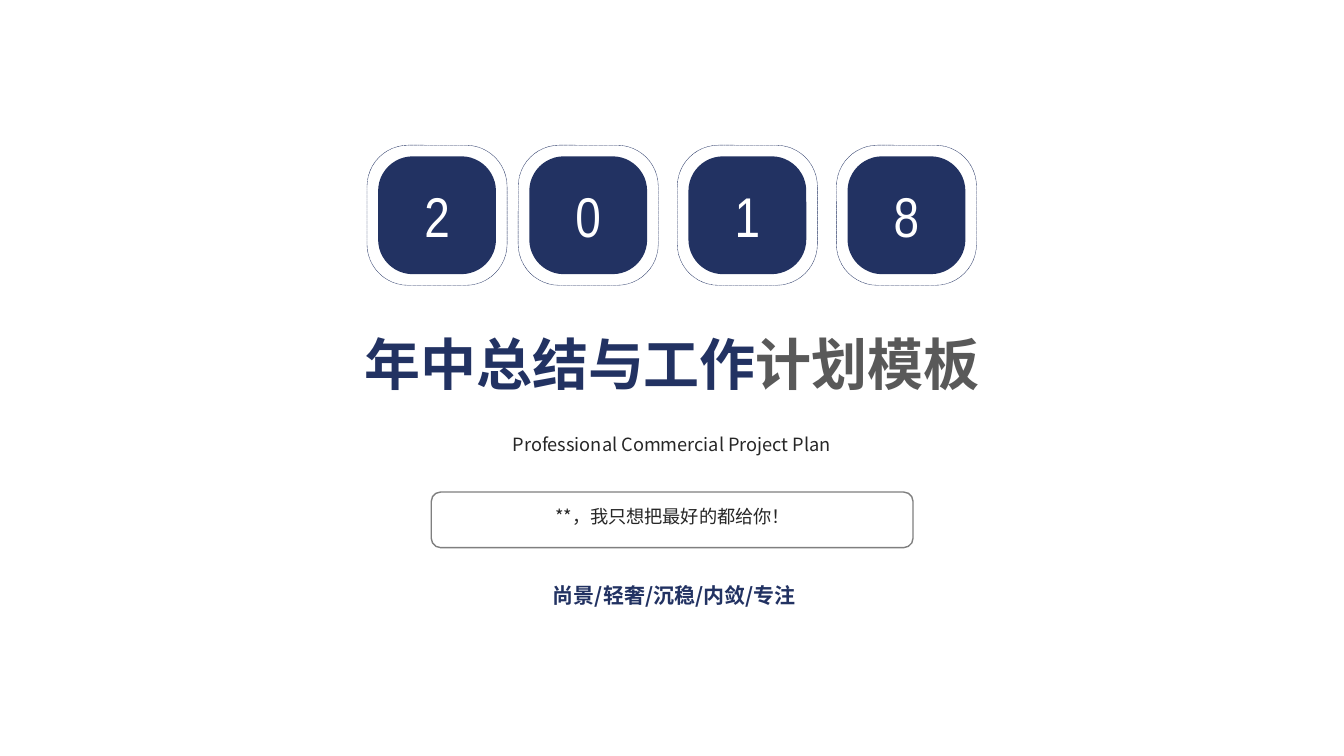
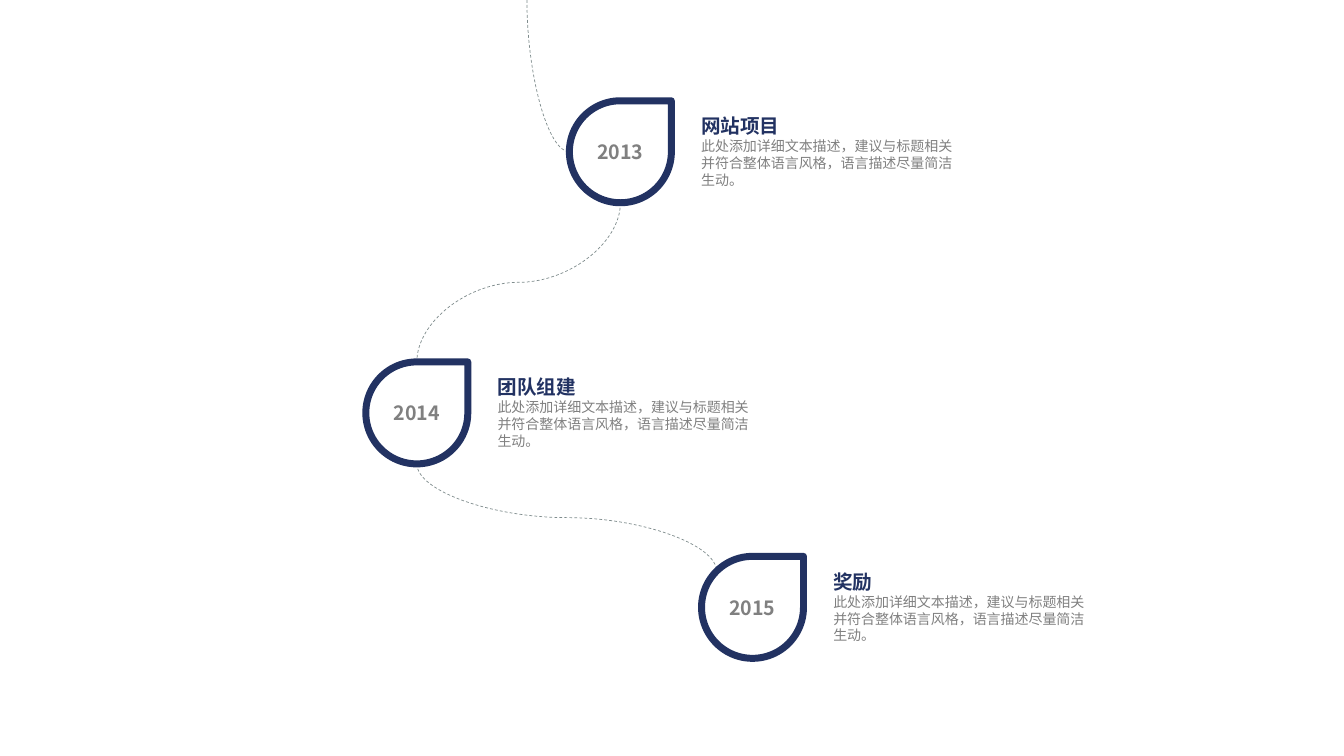
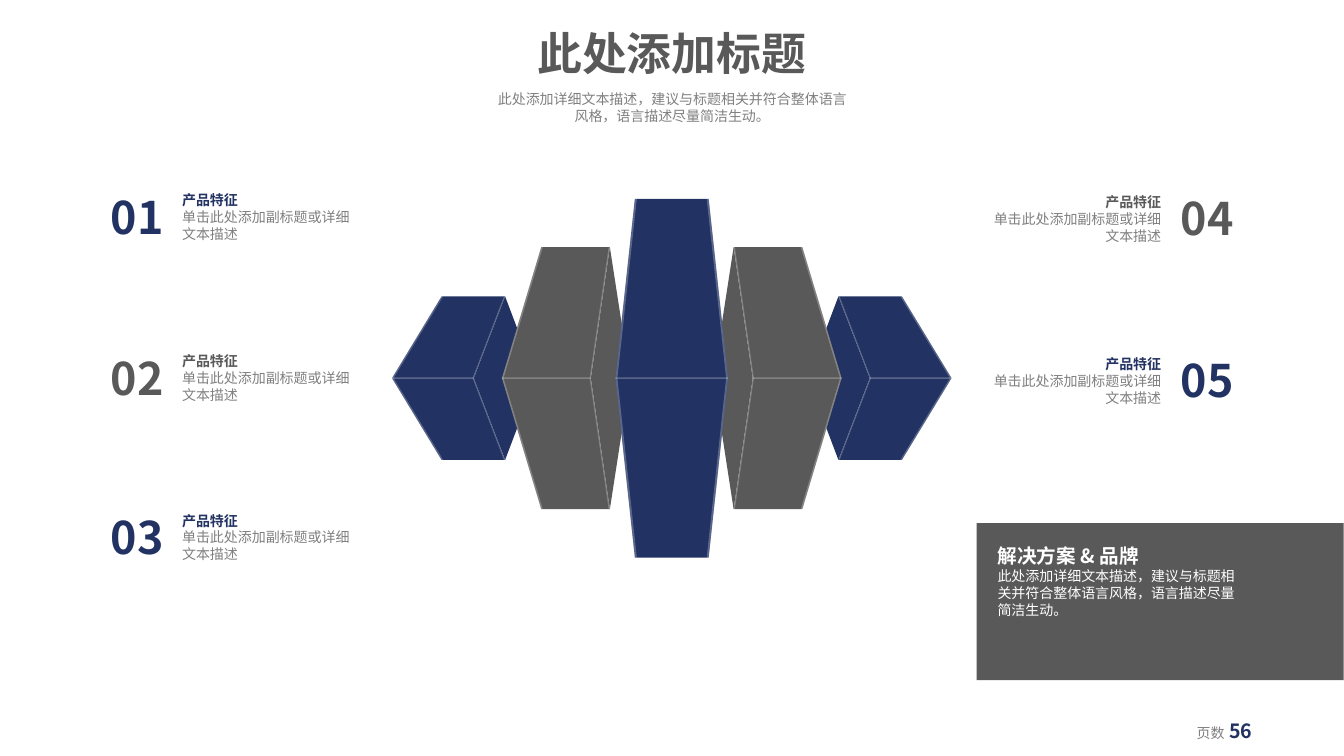
from dataclasses import dataclass

import pptx
import pptx.util
import pptx.dml.color
import pptx.enum.dml
import pptx.enum.shapes
import pptx.enum.text
import pptx.oxml.ns
import lxml.etree

Cm = pptx.util.Cm
Pt = pptx.util.Pt
RGB = pptx.dml.color.RGBColor.from_string
DASH = pptx.enum.dml.MSO_LINE
KIND = pptx.enum.shapes.MSO_SHAPE
ALIGN = pptx.enum.text.PP_ALIGN
qn = pptx.oxml.ns.qn


@dataclass(frozen=True)
class Theme:
    font: str = "Noto Sans CJK SC"
    narrow: str = "Arial Narrow"
    navy: str = "223262"
    slate: str = "595959"
    gray: str = "808080"
    rim: str = "7F7F7F"
    thread: str = "7F8C8D"
    ink: str = "262626"
    white: str = "FFFFFF"
    huge: int = 40
    title: int = 32
    tag: int = 15
    head: int = 14
    lead: int = 13
    body: int = 10


T = Theme()
DETAIL = "此处添加详细文本描述，建议与标题相关并符合整体语言风格，语言描述尽量简洁生动。"


def run(text, size, color, bold=False, font=T.font):
    return text, size, color, bold, font


def write(frame, paras, align=ALIGN.LEFT):
    """Fill a text frame; each paragraph is a list of run() tuples."""
    frame.word_wrap = True
    for i, runs in enumerate(paras):
        para = frame.paragraphs[0] if i == 0 else frame.add_paragraph()
        para.alignment = align
        for text, size, color, bold, face in runs:
            part = para.add_run()
            part.text = text
            font = part.font
            font.size, font.bold, font.name = Pt(size), bold, face
            font.color.rgb = RGB(color)
            east = lxml.etree.SubElement(part._r.get_or_add_rPr(), qn("a:ea"))
            east.set("typeface", face)


def label(slide, box, paras, align=ALIGN.LEFT):
    frame = slide.shapes.add_textbox(*map(Cm, box)).text_frame
    write(frame, paras, align)


def paint(shape, fill=None, line=None, width=1, dash=None):
    shape.shadow.inherit = False
    if fill:
        shape.fill.solid()
        shape.fill.fore_color.rgb = RGB(fill)
    else:
        shape.fill.background()
    if line:
        shape.line.color.rgb = RGB(line)
        shape.line.width = Pt(width)
        if dash:
            shape.line.dash_style = dash
    else:
        shape.line.fill.background()


def block(slide, kind, box, adjust=None, **look):
    shape = slide.shapes.add_shape(kind, *map(Cm, box))
    if adjust is not None:
        shape.adjustments[0] = adjust
    paint(shape, **look)
    return shape


def tile(slide, left, digit):
    """A digit on a rounded square with a dashed ring around it."""
    top, side, gap, bend = 3.94, 2.97, 0.28, 0.294
    face = block(slide, KIND.ROUNDED_RECTANGLE, (left, top, side, side), bend, fill=T.navy)
    face.text_frame.vertical_anchor = pptx.enum.text.MSO_ANCHOR.MIDDLE
    write(face.text_frame, [[run(digit, T.huge, T.white, font=T.narrow)]], ALIGN.CENTER)
    ring = (left - gap, top - gap, side + 2 * gap, side + 2 * gap)
    block(slide, KIND.ROUNDED_RECTANGLE, ring, bend,
          line=T.navy, width=0.25, dash=DASH.SQUARE_DOT)


def entry(slide, left, top, width, head, color, tint):
    label(slide, (left, top, width, 2.13),
          [[run(head, T.head, color, True)], [run(DETAIL, T.body, tint)]])


DROP = 2.57


def event(slide, left, top, year, head):
    drop = block(slide, KIND.TEAR, (left, top, DROP, DROP), fill=T.white, line=T.navy, width=5)
    drop.text_frame.vertical_anchor = pptx.enum.text.MSO_ANCHOR.MIDDLE
    write(drop.text_frame, [[run(year, T.head, T.gray, True)]], ALIGN.CENTER)
    entry(slide, left + 3.07, top + 0.21, 6.99, head, T.navy, T.gray)
    return drop


def curve(slide, start, end, preset, first=None, last=None):
    """A curve that leaves start downwards; first and last are (shape, site) joints."""
    (x1, y1), (x2, y2) = start, end
    long, wide = abs(y2 - y1), abs(x2 - x1)
    left, top = (x1 + x2 - long) / 2, (y1 + y2 - wide) / 2
    link = slide.shapes.add_connector(
        pptx.enum.shapes.MSO_CONNECTOR.CURVE,
        Cm(left), Cm(top), Cm(left + long), Cm(top + wide))
    link.line.color.rgb = RGB(T.thread)
    link.line.width = Pt(0.5)
    link.line.dash_style = DASH.DASH
    node = link._element
    lxml.etree.SubElement(node.spPr, qn("a:effectLst"))
    node.spPr.find(qn("a:prstGeom")).set("prst", preset)
    frame = node.spPr.find(qn("a:xfrm"))
    frame.set("rot", str((270 if x2 > x1 else 90) * 60000))
    if x2 > x1:
        frame.set("flipH", "1")
    joints = node.find(".//" + qn("p:cNvCxnSpPr"))
    for tag, joint in (("a:stCxn", first), ("a:endCxn", last)):
        if joint:
            mark = lxml.etree.SubElement(joints, qn(tag))
            mark.set("id", str(joint[0].shape_id))
            mark.set("idx", str(joint[1]))
    slide.shapes._spTree.insert(2, node)


MID_X, MID_Y = 16.93, 9.53


def facet(slide, side, points, color, alpha=None):
    """A polygon; points are offsets from the middle, side -1 mirrors to the left."""
    spots = [(Cm(MID_X + side * x), Cm(MID_Y + y)) for x, y in points]
    pen = slide.shapes.build_freeform(*spots[0], scale=1.0)
    pen.add_line_segments(spots[1:], close=True)
    shape = pen.convert_to_shape()
    paint(shape, fill=color)
    if alpha:
        tone = shape._element.spPr.find(".//" + qn("a:srgbClr"))
        lxml.etree.SubElement(tone, qn("a:alpha")).set("val", str(alpha * 1000))


def shine(slide, side, points):
    facet(slide, side, points, T.white, 25)


def bend(slide, side, mid, end, high, thick):
    """A thin light edge, bent at half height."""
    shine(slide, side, [(mid, 0), (end, -high), (end - thick, -high),
                        (mid - thick, 0), (end - thick, high), (end, high)])


def front(slide, side, color, tip, top, ridge, crease, high):
    for sign in (-1, 1):
        facet(slide, side, [(crease, 0), (ridge, sign * high),
                            (top, sign * high), (tip, 0)], color)
    shine(slide, side, [(crease, -0.02), (tip, -0.02), (tip, 0.02), (crease, 0.02)])


def prism(slide, side, color, tip, top, ridge, crease, far, high):
    facet(slide, side, [(crease, 0), (ridge, -high), (far, 0), (ridge, high)], color)
    front(slide, side, color, tip, top, ridge, crease, high)
    bend(slide, side, tip, top, high, 0.04)
    bend(slide, side, crease, ridge, high, -0.03)


def trait(slide, top, number, color, right=False):
    left, text, drop = (29.51, 24.61, 0.08) if right else (2.54, 4.34, 0.05)
    label(slide, (left, top, 1.93, 1.63), [[run(number, T.title, color, True)]])
    label(slide, (text, top + drop, 4.9, 1.55),
          [[run("产品特征", T.body, color, True)],
           [run("单击此处添加副标题或详细文本描述", T.body, T.gray)]],
          ALIGN.RIGHT if right else ALIGN.LEFT)


def cover(slide):
    for left, digit in zip((9.53, 13.34, 17.35, 21.36), "2018"):
        tile(slide, left, digit)
    block(slide, KIND.ROUNDED_RECTANGLE, (10.87, 12.4, 12.14, 1.4), 0.167, line=T.rim)
    lines = [
        ((2.57, 8.18, 28.73, 1.96), [run("年中总结与工作", T.huge, T.navy, True),
                                    run("计划模板", T.huge, T.slate, True)]),
        ((7.87, 10.8, 18.11, 0.81),
         [run("Professional Commercial Project Plan", T.lead, T.ink)]),
        ((10.67, 12.6, 12.55, 0.81), [run("**，我只想把最好的都给你！", T.lead, T.ink)]),
        ((13, 14.55, 7.98, 0.84), [run("尚景/轻奢/沉稳/内敛/专注", T.tag, T.navy, True)]),
    ]
    for box, runs in lines:
        label(slide, box, [runs], ALIGN.CENTER)


def story(slide):
    events = [(14.35, 2.54, "2013", "网站项目"),
              (9.22, 9.12, "2014", "团队组建"),
              (17.68, 14.02, "2015", "奖励")]
    one, two, three = [event(slide, *item) for item in events]
    (ax, ay), (bx, by), (cx, cy) = [item[:2] for item in events]
    half, inset = DROP / 2, 0.38
    low, west, slant, high = 2, 4, 5, 6
    curve(slide, (13.28, 0), (ax, ay + half), "curvedConnector2", last=(one, west))
    curve(slide, (ax + half, ay + DROP), (bx + half, by), "curvedConnector3",
          (one, low), (two, high))
    curve(slide, (bx + half, by + DROP), (cx + inset, cy + inset), "curvedConnector3",
          (two, low), (three, slant))


def traits(slide):
    label(slide, (11.93, 0.53, 10, 1.63),
          [[run("此处添加标题", T.title, T.slate, True)]], ALIGN.CENTER)
    label(slide, (12.19, 2.16, 9.5, 1.12), [[run(DETAIL, T.body, T.gray)]], ALIGN.CENTER)
    label(slide, (29.91, 17.98, 3.2, 0.86),
          [[run("页数", T.body, T.gray), run(" 56", T.head, T.navy, True)]])

    for side in (-1, 1):
        prism(slide, side, T.navy, 7.05, 5.8, 4.2, 4.99, 3.42, 2.06)
        prism(slide, side, T.slate, 4.28, 3.29, 1.56, 2.04, 1.05, 3.3)
    front(slide, 1, T.navy, 1.42, 0.93, -0.93, -1.42, 4.52)
    for side in (-1, 1):
        bend(slide, side, 1.42, 0.93, 4.52, 0.05)

    trait(slide, 4.65, "01", T.navy)
    trait(slide, 8.71, "02", T.slate)
    trait(slide, 12.73, "03", T.navy)
    trait(slide, 4.67, "04", T.slate, True)
    trait(slide, 8.76, "05", T.navy, True)

    block(slide, KIND.RECTANGLE, (24.61, 13.18, 9.25, 3.96), fill=T.slate)
    entry(slide, 24.89, 13.59, 6.5, "解决方案 & 品牌", T.white, T.white)


def main():
    deck = pptx.Presentation()
    deck.slide_width, deck.slide_height = Cm(33.87), Cm(19.05)
    for draw in (cover, story, traits):
        draw(deck.slides.add_slide(deck.slide_layouts[6]))
    deck.save("out.pptx")


if __name__ == "__main__":
    main()
